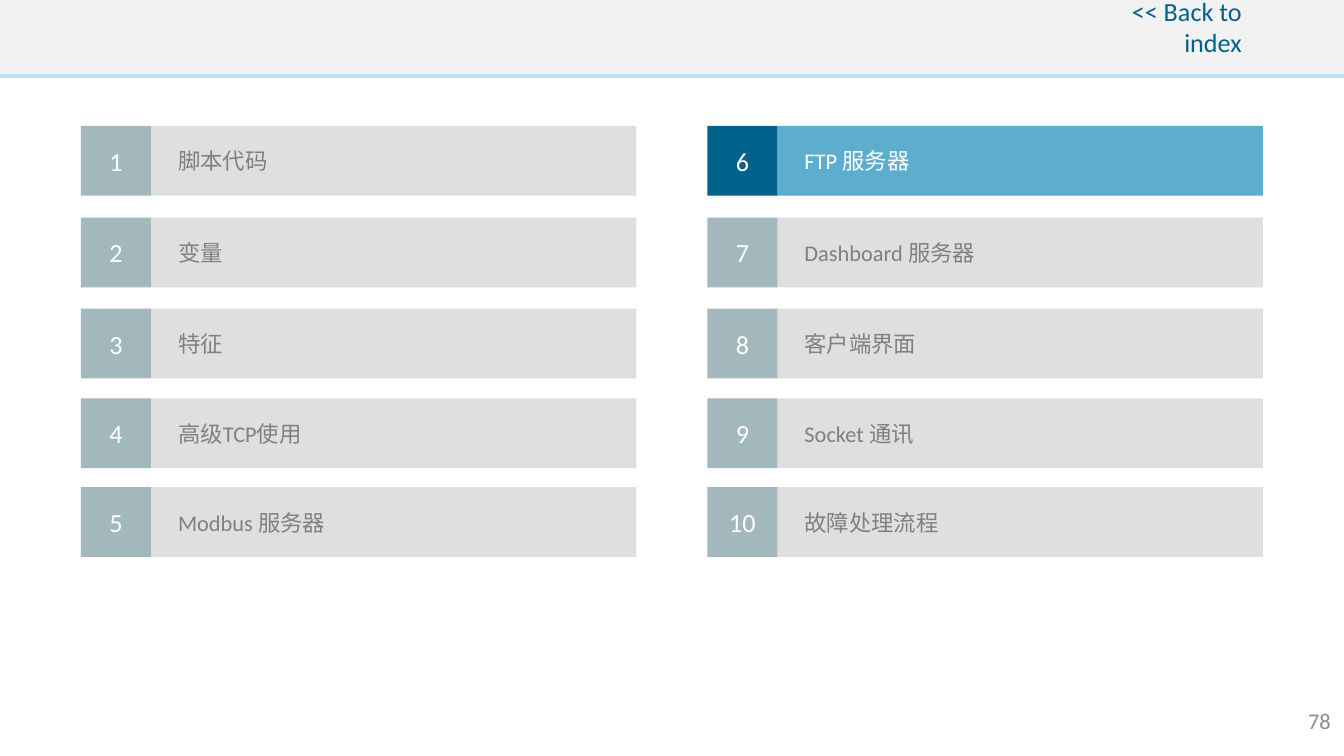
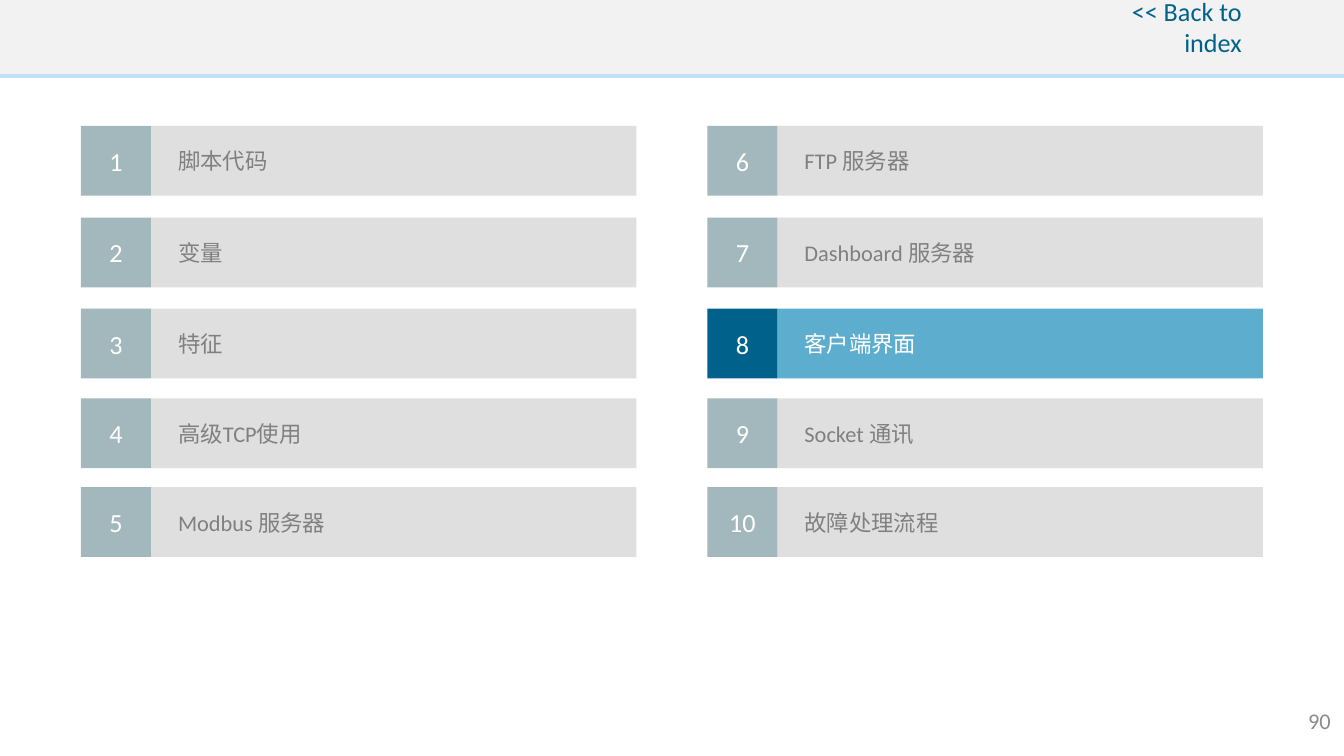
from pptx import Presentation
from pptx.dml.color import RGBColor
from pptx.enum.shapes import MSO_SHAPE
from pptx.enum.text import MSO_ANCHOR, PP_ALIGN
from pptx.util import Pt

RECTANGLE = MSO_SHAPE.RECTANGLE
MIDDLE, BOTTOM = MSO_ANCHOR.MIDDLE, MSO_ANCHOR.BOTTOM
LEFT, CENTER, RIGHT = PP_ALIGN.LEFT, PP_ALIGN.CENTER, PP_ALIGN.RIGHT

FONT = "Calibri"
COLORS = {
    "header": "F2F2F2",
    "header_edge": "C2E1F6",
    "accent_dark": "00628B",
    "accent": "5DADCF",
    "number_fill": "A2B8BC",
    "label_fill": "DFDFDF",
    "label_text": "808080",
    "page_number": "8C8C8C",
    "white": "FFFFFF",
}

SLIDE_WIDTH, SLIDE_HEIGHT = 720, 405
COLUMN_LEFTS = (43.4, 379)
ROW_TOPS = (67.5, 116.6, 165.4, 213.4, 261)
ROW_HEIGHT = 37.4
NUMBER_WIDTH = 37.6
LABEL_WIDTH = 260

CHAPTERS = (
    "脚本代码", "变量", "特征", "高级TCP使用", "Modbus 服务器",
    "FTP 服务器", "Dashboard 服务器", "客户端界面", "Socket 通讯", "故障处理流程",
)
# Page number and the chapter that starts there
DIVIDERS = ((78, 6), (90, 8))


def write(frame, text, *, size, color, align=LEFT, anchor=MIDDLE,
          inset=(0, 0, 0, 0), indent=0, wrap=True):
    frame.margin_left, frame.margin_top, frame.margin_right, frame.margin_bottom = map(Pt, inset)
    frame.word_wrap = wrap
    frame.vertical_anchor = anchor
    paragraph = frame.paragraphs[0]
    paragraph.alignment = align
    if indent:
        paragraph._p.get_or_add_pPr().set("marL", str(Pt(indent)))
    run = paragraph.add_run()
    run.text = text
    run.font.name = FONT
    run.font.size = Pt(size)
    run.font.color.rgb = RGBColor.from_string(COLORS[color])


class IndexDeck:
    def __init__(self):
        self.deck = Presentation()
        self.deck.slide_width = Pt(SLIDE_WIDTH)
        self.deck.slide_height = Pt(SLIDE_HEIGHT)
        self.slide = None

    def new_slide(self):
        self.slide = self.deck.slides.add_slide(self.deck.slide_layouts[6])

    def block(self, left, top, width, height, fill):
        block = self.slide.shapes.add_shape(RECTANGLE, *map(Pt, (left, top, width, height)))
        block.shadow.inherit = False
        block.fill.solid()
        block.fill.fore_color.rgb = RGBColor.from_string(COLORS[fill])
        block.line.fill.background()
        return block

    def text(self, left, top, width, height, text, **style):
        box = self.slide.shapes.add_textbox(*map(Pt, (left, top, width, height)))
        write(box.text_frame, text, **style)

    def header(self):
        self.block(0, 0, SLIDE_WIDTH, 41.8, "header_edge")
        self.block(0, 0, SLIDE_WIDTH, 39.6, "header")
        self.text(593.3, 0, 72, 31, "<< Back to index", size=14, color="accent_dark",
                  align=RIGHT, anchor=BOTTOM, wrap=False)

    def page_number(self, number):
        self.text(648, 375, 72, 21.6, str(number), size=12, color="page_number",
                  align=RIGHT, inset=(7.2, 3.6, 7.2, 3.6))

    def chapter(self, number, title, active):
        column, row = divmod(number - 1, len(ROW_TOPS))
        left, top = COLUMN_LEFTS[column], ROW_TOPS[row]
        number_block = self.block(left, top, NUMBER_WIDTH, ROW_HEIGHT,
                                  "accent_dark" if active else "number_fill")
        write(number_block.text_frame, str(number), size=14, color="white", align=CENTER)
        title_block = self.block(left + NUMBER_WIDTH, top, LABEL_WIDTH, ROW_HEIGHT,
                                 "accent" if active else "label_fill")
        write(title_block.text_frame, title, size=12, indent=14.4,
              color="white" if active else "label_text")

    def divider(self, page, active_chapter):
        """Adds the chapter index with one chapter highlighted."""
        self.new_slide()
        self.header()
        for number, title in enumerate(CHAPTERS, start=1):
            self.chapter(number, title, number == active_chapter)
        self.page_number(page)


def main():
    index = IndexDeck()
    for page, active_chapter in DIVIDERS:
        index.divider(page, active_chapter)
    index.deck.save("out.pptx")


if __name__ == "__main__":
    main()
